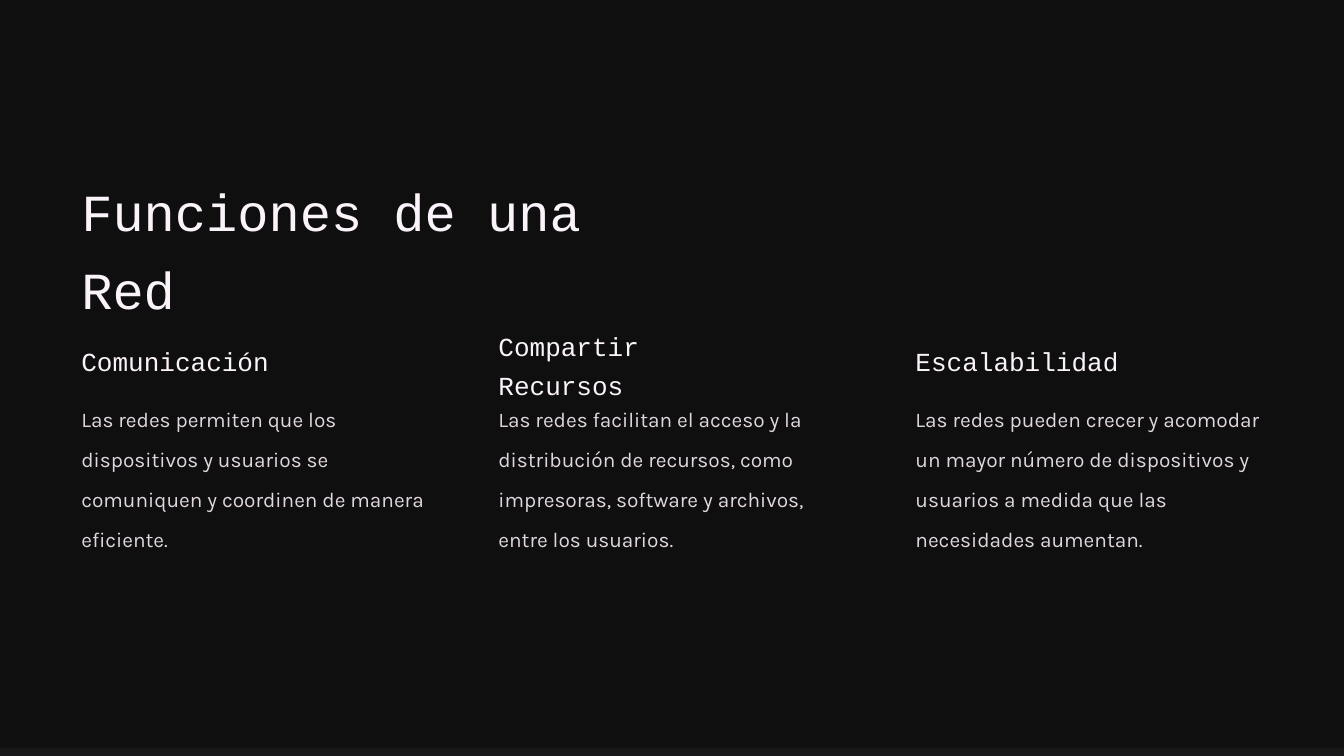
from pptx import Presentation
from pptx.dml.color import RGBColor as Rgb
from pptx.enum.shapes import MSO_SHAPE as Shape
from pptx.util import Inches, Pt

# Text styles: line spacing and font values
MONO = {"name": "Courier New", "color": "FBF3FA"}
TITLE = {"gap": 1.25, "font": {**MONO, "size": 44.6}}
HEAD = {"gap": 1.25, "font": {**MONO, "size": 22.3}}
BODY = {"gap": 1.6, "font": {"name": "Karla", "color": "E0D6DE", "size": 17.9}}

LEFT, STEP = 0.87, 4.965

# Heading, its top and width, then body
COLUMNS = [
    ("Comunicación", 3.97, 3.1,
     "Las redes permiten que los dispositivos y usuarios se comuniquen "
     "y coordinen de manera eficiente."),
    ("Compartir Recursos", 3.79, 3.35,
     "Las redes facilitan el acceso y la distribución de recursos, como "
     "impresoras, software y archivos, entre los usuarios."),
    ("Escalabilidad", 3.97, 3.1,
     "Las redes pueden crecer y acomodar un mayor número de dispositivos "
     "y usuarios a medida que las necesidades aumentan."),
]


def paint(target, color):
    target.rgb = Rgb.from_string(color)


class Deck:
    def __init__(self, wide, high):
        self.file = Presentation()
        self.file.slide_width = Inches(wide)
        self.file.slide_height = Inches(high)
        self.slide = self.file.slides.add_slide(self.file.slide_layouts[6])

    def panel(self, *box, color):
        rect = self.slide.shapes.add_shape(Shape.RECTANGLE, *map(Inches, box))
        rect.shadow.inherit = False
        rect.fill.solid()
        paint(rect.fill.fore_color, color)
        rect.line.fill.background()

    def text(self, words, *box, style):
        frame = self.slide.shapes.add_textbox(*map(Inches, box)).text_frame
        frame.word_wrap = True
        para = frame.paragraphs[0]
        para.line_spacing = style["gap"]
        run = para.add_run()
        run.text = words
        for key, value in style["font"].items():
            if key == "color":
                paint(run.font.color, value)
            else:
                setattr(run.font, key, Pt(value) if key == "size" else value)


def main():
    deck = Deck(16, 9)

    # Dark backdrop with a lighter strip along the bottom
    for top, color in ((0, "18181B"), (-0.1, "0F0F10")):
        deck.panel(0, top, 16, 9, color=color)

    # Title
    deck.text("Funciones de una Red", LEFT, 1.9, 7.44, 0.78, style=TITLE)

    # Three columns
    for i, (head, top, width, body) in enumerate(COLUMNS):
        left = LEFT + i * STEP
        deck.text(head, left, top, width, 0.39, style=HEAD)
        deck.text(body, left, 4.61, 4.35, 1.59, style=BODY)

    deck.file.save("out.pptx")


if __name__ == "__main__":
    main()
